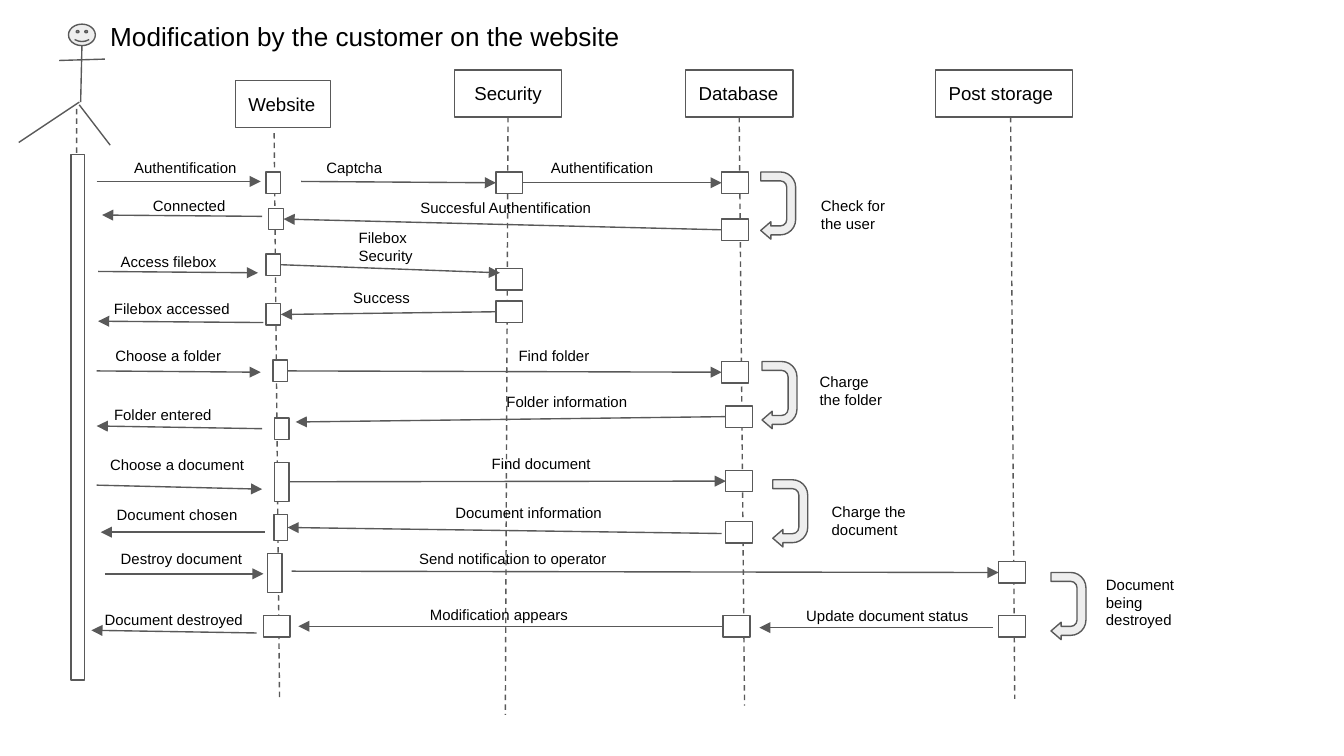
from lxml import etree
from pptx import Presentation
from pptx.dml.color import RGBColor
from pptx.enum.dml import MSO_LINE
from pptx.enum.shapes import MSO_CONNECTOR, MSO_SHAPE
from pptx.enum.text import MSO_ANCHOR, MSO_AUTO_SIZE, PP_ALIGN
from pptx.oxml.ns import qn
from pptx.util import Inches, Pt

STRAIGHT = MSO_CONNECTOR.STRAIGHT
RECTANGLE, SMILEY, UTURN = MSO_SHAPE.RECTANGLE, MSO_SHAPE.SMILEY_FACE, MSO_SHAPE.U_TURN_ARROW
DASH = MSO_LINE.DASH
TOP, MIDDLE = MSO_ANCHOR.TOP, MSO_ANCHOR.MIDDLE
LEFT_ALIGN, CENTER = PP_ALIGN.LEFT, PP_ALIGN.CENTER
FIXED = MSO_AUTO_SIZE.NONE
LEFT, BOTTOM, RIGHT = 1, 2, 3

BLACK = RGBColor(0x00, 0x00, 0x00)
WHITE = RGBColor(0xFF, 0xFF, 0xFF)
GRAY = RGBColor(0x59, 0x59, 0x59)
PALE = RGBColor(0xEE, 0xEE, 0xEE)

COLUMNS, ROWS = 100, 56.25
CELL = Inches(0.1)
WIDE, NARROW, TALL = (2, 1.6), (1.1, 1.6), (1.1, 2.9)

HEADERS = {
    "Website": (17.5, 6, 7.1, LEFT_ALIGN),
    "Security": (33.8, 5.2, 8, CENTER),
    "Database": (51, 5.2, 8, LEFT_ALIGN),
    "Post storage": (69.6, 5.2, 10.2, LEFT_ALIGN),
}
LIFELINES = [
    ((5.7, 8.1), (5.8, 48.9)),
    ((20.4, 9.9), (20.8, 52)),
    (("Security", 0, BOTTOM), (37.6, 53.2)),
    (("Database", 0, BOTTOM), (55.4, 52.5)),
    ((75.2, 8.7), (75.5, 52)),
]
ACTIVATIONS = {
    "Website": [
        (19.8, 12.8, *NARROW), (20, 15.5, *NARROW), (19.8, 18.9, *NARROW), (19.8, 22.6, *NARROW),
        (20.3, 26.8, *NARROW), (20.4, 31.1, *NARROW), (20.4, 34.4, *TALL), (20.4, 38.3, 1, 1.9),
        (19.9, 41.2, *TALL), (19.6, 45.8, *WIDE),
    ],
    "Security": [(36.9, top, *WIDE) for top in (12.8, 20, 22.4)],
    "Database": [
        (53.7, 12.8, *WIDE), (53.7, 16.3, *WIDE), (53.7, 26.9, *WIDE), (54, 30.2, *WIDE),
        (54, 35, *WIDE), (54, 38.8, *WIDE), (53.8, 45.8, *WIDE),
    ],
    "Post storage": [(74.3, top, *WIDE) for top in (41.8, 45.8)],
}
MESSAGES = [
    ("Authentification", (9, 10.8, 12, 3.5), (7.2, 13.5), (19.4, 13.5)),
    ("Captcha", (23.3, 10.8, 7.1, 3.5), (22.4, 13.5), ("Security", 1, LEFT)),
    ("Authentification", (40, 10.8, 10.1, 3.5), ("Security", 1, RIGHT), ("Database", 1, LEFT)),
    ("Succesful Authentification", (30.3, 13.8, 17.1, 3.5), ("Database", 2, LEFT), ("Website", 2, RIGHT)),
    ("Connected", (10.4, 13.6, 8, 3.5), (19.5, 16.1), (7.6, 16)),
    ("Access filebox", (8, 17.8, 10.2, 3.5), (7.3, 20.2), (19.2, 20.3)),
    ("Filebox Security", (25.7, 16, 7.1, 3.5), ("Website", 3, RIGHT), (37.2, 20.3)),
    ("Success", (25.3, 20.5, 7.1, 3.5), ("Security", 3, LEFT), ("Website", 4, RIGHT)),
    ("Filebox accessed", (7.5, 21.3, 12, 3.5), (19.6, 24), (7.3, 23.9)),
    ("Choose a folder", (7.6, 24.8, 10.1, 3.5), (7.2, 27.6), (19.4, 27.7)),
    ("Find folder", (37.6, 24.8, 8.9, 3.5), ("Website", 5, RIGHT), ("Database", 3, LEFT)),
    ("Folder information", (36.7, 28.2, 11, 3.5), ("Database", 4, LEFT), (22, 31.4)),
    ("Folder entered", (7.5, 29.2, 10.1, 3.5), (19.5, 31.9), (7.2, 31.7)),
    ("Choose a document", (7.2, 32.9, 12.2, 3), (7.2, 36.1), (19.5, 36.4)),
    ("Find document", (35.6, 32.8, 11, 3.5), ("Website", 7, RIGHT), ("Database", 5, LEFT)),
    ("Document information", (32.9, 36.5, 14.7, 3.5), (53.7, 39.7), ("Website", 8, RIGHT)),
    ("Document chosen", (7.7, 36.6, 11.4, 3), (19.7, 39.6), (7.5, 39.6)),
    ("Destroy document", (8, 39.9, 11.4, 3), (7.8, 42.7), (19.6, 42.7)),
    ("Send notification to operator", (30.2, 39.9, 18.7, 3), (21.7, 42.5), ("Post storage", 1, LEFT)),
    ("Update document status", (59, 44.1, 14.7, 3.5), (73.9, 46.7), (56.5, 46.7)),
    ("Modification appears", (31, 44.1, 18.7, 3), ("Database", 7, LEFT), (22.2, 46.6)),
    ("Document destroyed", (6.8, 44.4, 12.9, 3), (19.1, 47.1), (6.8, 46.9)),
]
SELF_CALLS = [
    ("Check for the user", (60.1, 13.6, 7.1, 3.5), (55.4, 14)),
    ("Charge the folder", (60, 26.7, 7.1, 3.5), (55.5, 28.1)),
    ("Charge the document", (60.9, 36.4, 8, 3.5), (56.3, 36.9)),
    ("Document being destroyed", (81.3, 41.8, 8.9, 3.5), (77, 43.8)),
]
FIGURE = [
    ((5.9, 7.6), (1.4, 10.6)),
    ((5.9, 7.8), (8.2, 10.8)),
    ((6.1, 3.3), (6, 7.6)),
    ((7.8, 4.4), (4.4, 4.5)),
]


def cells(*values):
    """Turn grid counts into lengths."""
    return [round(value * CELL) for value in values]


def write_text(text_frame, text, size=8, align=LEFT_ALIGN, anchor=TOP):
    """Fill a text frame with one formatted paragraph."""
    text_frame.word_wrap = True
    text_frame.auto_size = FIXED
    text_frame.vertical_anchor = anchor
    text_frame.margin_left = text_frame.margin_right = CELL
    text_frame.margin_top = text_frame.margin_bottom = CELL
    paragraph = text_frame.paragraphs[0]
    paragraph.alignment = align
    run = paragraph.add_run()
    run.text = text
    run.font.name, run.font.size = "Arial", Pt(size)
    run.font.color.rgb = BLACK


class SequenceDiagram:
    """Draw the parts of a sequence diagram in one style."""

    def __init__(self, slide):
        self.slide = slide
        self.line_color, self.line_width = GRAY, Pt(0.75)
        self.boxes = {}

    def title(self, text, place):
        title = self.slide.shapes.title
        title.left, title.top, title.width, title.height = cells(*place)
        write_text(title.text_frame, text, size=14)

    def label(self, text, place):
        write_text(self.slide.shapes.add_textbox(*cells(*place)).text_frame, text)

    def shape(self, kind, place, fill=WHITE, adjustments=()):
        shape = self.slide.shapes.add_shape(kind, *cells(*place))
        shape.shadow.inherit = False
        shape.fill.solid()
        shape.fill.fore_color.rgb = fill
        self.outline(shape.line)
        for index, value in enumerate(adjustments):
            shape.adjustments[index] = value
        return shape

    def outline(self, line):
        line.color.rgb = self.line_color
        line.width = self.line_width

    def header(self, name, left, top, width, align):
        shape = self.shape(RECTANGLE, (left, top, width, 3.5))
        shape.fill.background()
        write_text(shape.text_frame, name, size=10, align=align, anchor=MIDDLE)
        self.boxes[name] = [shape]

    def activation(self, name, place):
        self.boxes[name].append(self.shape(RECTANGLE, place))

    def self_call(self, left, top):
        arrow = self.shape(UTURN, (left, top, 5, 2.6), PALE, (0.255, 0.25, 0.289, 0.438, 1))
        arrow.rotation = 90

    def line(self, start, end, dashed=False, arrow=False):
        points = [target if len(target) == 2 else (0, 0) for target in (start, end)]
        connector = self.slide.shapes.add_connector(STRAIGHT, *cells(*points[0], *points[1]))
        for target, connect in ((start, connector.begin_connect), (end, connector.end_connect)):
            if len(target) == 3:
                name, index, side = target
                connect(self.boxes[name][index], side)
        self.outline(connector.line)
        if dashed:
            connector.line.dash_style = DASH
        properties = connector.element.spPr
        if arrow:
            etree.SubElement(properties.find(qn("a:ln")), qn("a:tailEnd"), type="triangle")
        etree.SubElement(properties, qn("a:effectLst"))


def main():
    """Build the slide and save it."""
    presentation = Presentation()
    presentation.slide_width, presentation.slide_height = cells(COLUMNS, ROWS)
    diagram = SequenceDiagram(presentation.slides.add_slide(presentation.slide_layouts[5]))
    diagram.title("Modification by the customer on the website", (7.2, 0.5, 46.6, 4.3))
    for name, header in HEADERS.items():
        diagram.header(name, *header)
    for start, end in LIFELINES:
        diagram.line(start, end, dashed=True)
    diagram.shape(RECTANGLE, (5.3, 11.5, 1, 39.1))
    for start, end in FIGURE:
        diagram.line(start, end)
    diagram.shape(SMILEY, (5.1, 1.8, 2, 1.6), PALE, (0.047,))
    for name, places in ACTIVATIONS.items():
        for place in places:
            diagram.activation(name, place)
    for text, place, start, end in MESSAGES:
        diagram.line(start, end, arrow=True)
        diagram.label(text, place)
    for text, place, corner in SELF_CALLS:
        diagram.self_call(*corner)
        diagram.label(text, place)
    presentation.save("out.pptx")


if __name__ == "__main__":
    main()
